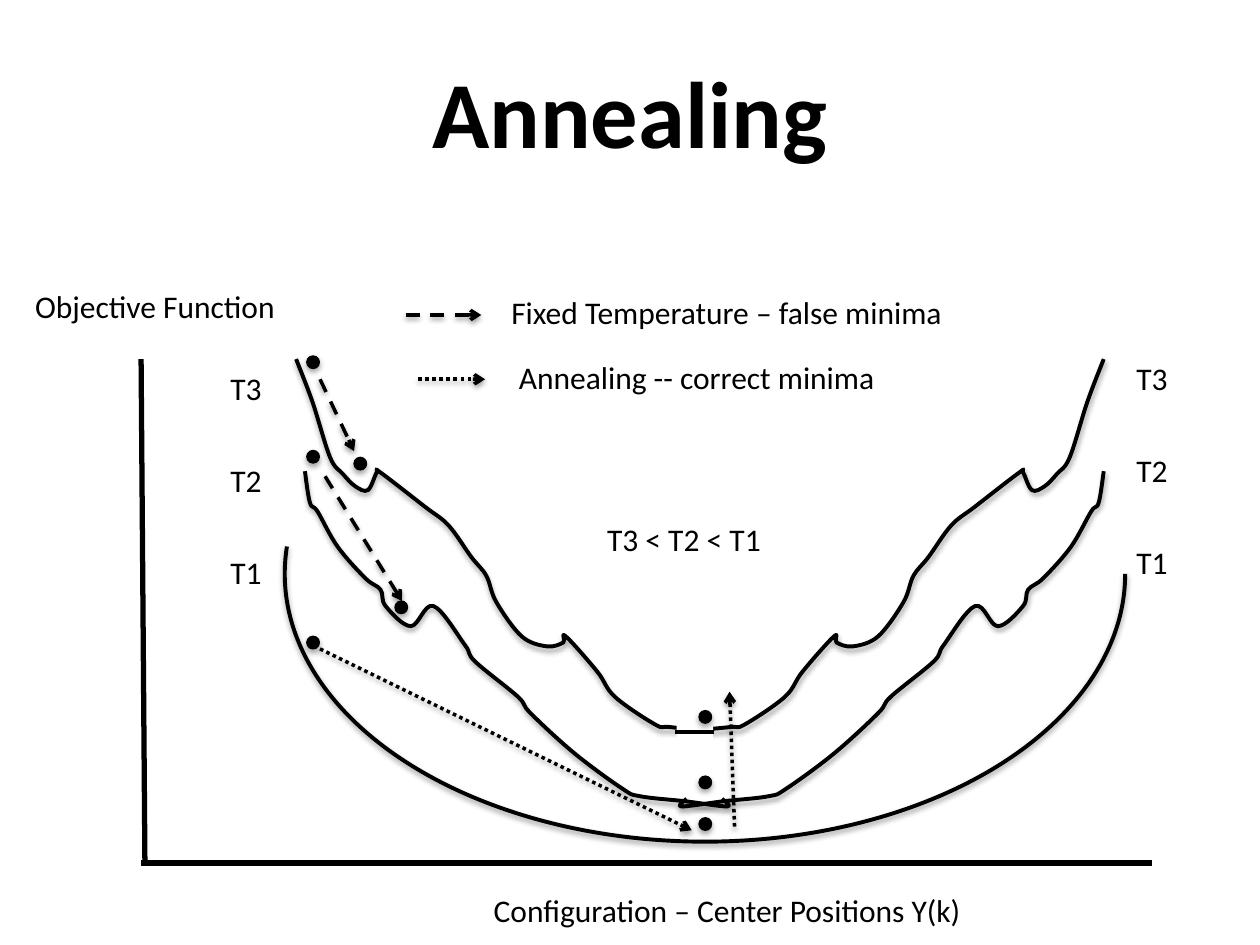
from lxml.etree import SubElement
from pptx import Presentation
from pptx.dml.color import RGBColor
from pptx.enum.dml import MSO_LINE
from pptx.enum.shapes import MSO_CONNECTOR, MSO_SHAPE
from pptx.enum.text import MSO_ANCHOR, MSO_AUTO_SIZE, PP_ALIGN
from pptx.oxml.ns import qn
from pptx.util import Inches, Pt

BLACK, WHITE = "000000", "FFFFFF"
COLUMNS = 100
SOFT_SHADOW = {"alpha": 35, "blur": 3.1, "distance": 1.8}
FIRM_SHADOW = {"alpha": 38, "blur": 3.1, "distance": 1.6}
ink = RGBColor.from_string

deck = Presentation()
deck.slide_width, deck.slide_height = Inches(10), Inches(7.5)
shapes = deck.slides.add_slide(deck.slide_layouts[6]).shapes
cell = deck.slide_width // COLUMNS


def grid(*cells):
    return [round(count * cell) for count in cells]


def outline(part, width, dash=None, arrow=False, shadow=None):
    part.line.color.rgb = ink(BLACK)
    part.line.width = Pt(width)
    if dash:
        part.line.dash_style = dash
    if arrow:
        SubElement(part.line._get_or_add_ln(), qn("a:tailEnd"), type="arrow")
    effects = SubElement(part._element.spPr, qn("a:effectLst"))
    if shadow:
        cast = SubElement(effects, qn("a:outerShdw"), blurRad=str(Pt(shadow["blur"])),
                          dist=str(Pt(shadow["distance"])), dir="5400000", rotWithShape="0")
        tint = SubElement(cast, qn("a:srgbClr"), val=BLACK)
        SubElement(tint, qn("a:alpha"), val=str(shadow["alpha"] * 1000))


bowl_centre, bowl_middle, bowl_half_width, bowl_depth = 55.95, 45.55, 33.35, 21.25
t1_bowl = shapes.add_shape(MSO_SHAPE.ARC, *grid(
    bowl_centre - bowl_depth, bowl_middle - bowl_half_width, 2 * bowl_depth, 2 * bowl_half_width))
t1_bowl.rotation = 90
t1_bowl.adjustments[0], t1_bowl.adjustments[1] = 162, 56.25
t1_bowl.fill.background()
outline(t1_bowl, 2.25, shadow=FIRM_SHADOW)

t2_descent = {
    "wall": [(24.2, 37.4), (24.6, 39.9), (25.2, 40.6), (26.8, 43.4), (29, 45.9)],
    "ledge": [(30.2, 46.8), (30.6, 48.1)],
    "false minimum": [(32.6, 49.7), (34.4, 48.1)],
    "slope": [(36.9, 51.2), (37.7, 52.5), (41.1, 55.3), (42.1, 56.6), (45.6, 59.8), (49.4, 62.6)],
    "floor": [(50.8, 63.2), (54.4, 63.6), (57.7, 64), (57.3, 63.4)],
}
t3_descent = {
    "wall": [(23.5, 28.5), (24.8, 31.9), (26.2, 36.3), (27.2, 37.6)],
    "upper false minimum": [(28.2, 38.6), (29.2, 38.9), (29.9, 37.5), (30.2, 37.5)],
    "upper slope": [(33.7, 40.2), (35.6, 41.7), (37.4, 44.2), (38.6, 45.7), (39.4, 47.8)],
    "lower false minimum": [(41.4, 50.5), (43.4, 51.3), (44.7, 51), (44.9, 50.5)],
    "lower slope": [(47.4, 53.3), (48.8, 55.3), (52, 57.5)],
    "floor": [(53.1, 57.7), (56.3, 58)],
}

for descent, symmetry_axis in ((t2_descent, 55.9), (t3_descent, 55.55)):
    left_half = [stop for stretch in descent.values() for stop in stretch]
    right_half = [(2 * symmetry_axis - x, y) for x, y in left_half]
    for half in (left_half, right_half):
        stops = [grid(*stop) for stop in half]
        builder = shapes.build_freeform(*stops[0])
        builder.add_line_segments(stops[1:], close=False)
        curve = builder.convert_to_shape()
        knots = [(int(p.get("x")), int(p.get("y"))) for p in curve._element.iter(qn("a:pt"))]
        padded = [knots[0], *knots, knots[-1]]
        segments = list(curve._element.iter(qn("a:lnTo")))
        for segment, before, start, end, after in zip(
                segments, padded, padded[1:], padded[2:], padded[3:]):
            leaving = [s + (e - b) / 6 for b, s, e in zip(before, start, end)]
            arriving = [e - (a - s) / 6 for s, e, a in zip(start, end, after)]
            segment.tag = qn("a:cubicBezTo")
            for x, y in (arriving, leaving):
                handle = SubElement(segment, qn("a:pt"), x=str(round(x)), y=str(round(y)))
                segment.insert(0, handle)
        curve.fill.background()
        outline(curve, 2.25, shadow=SOFT_SHADOW)

captions = [
    ("Annealing", 5, 2.5, 90),
    ("T3 < T2 < T1", 47.2, 40.8, 16.7),
    ("Objective Function", 1.8, 22.3, 21.3),
    ("Configuration – Center Positions Y(k)", 38.2, 70.2, 39.6),
    ("Fixed Temperature – false minima", 39.6, 22.8, 36.6),
    ("Annealing -- correct minima", 40.2, 27.9, 30.6),
]
level_gap = 7.3
for side_left, side_top in ((17.3, 28.8), (89.2, 28)):
    for row, level in enumerate(("T3", "T2", "T1")):
        captions.append((level, side_left, side_top + row * level_gap, 4.5))

for words, left, top, width in captions:
    is_title = words == "Annealing"
    height, size = (12.5, 54) if is_title else (4, 18)
    frame = shapes.add_textbox(*grid(left, top, width, height)).text_frame
    frame.word_wrap = is_title
    frame.auto_size = MSO_AUTO_SIZE.NONE if is_title else MSO_AUTO_SIZE.SHAPE_TO_FIT_TEXT
    line = frame.paragraphs[0]
    line.text = words
    line.font.name, line.font.size, line.font.bold = "Calibri", Pt(size), is_title
    line.font.color.rgb = ink(BLACK)
    if is_title:
        frame.vertical_anchor = MSO_ANCHOR.MIDDLE
        line.alignment = PP_ALIGN.CENTER

floor_gap = shapes.add_shape(MSO_SHAPE.RECTANGLE, *grid(53.7, 56.6, 2.9, 3.3))
floor_gap.shadow.inherit = False
floor_gap.fill.solid()
floor_gap.fill.fore_color.rgb = ink(WHITE)
floor_gap.line.fill.background()

start_x, minimum_x, ball = 24.85, 55.98, 1
ball_centres = {
    "T3 start": (start_x, 28.75), "T3 trapped": (28.6, 36.8), "T3 minimum": (minimum_x, 56.9),
    "T2 start": (start_x, 36.25), "T2 trapped": (31.85, 48.2), "T2 minimum": (minimum_x, 62.1),
    "T1 start": (start_x, 51), "T1 minimum": (minimum_x, 65.4),
}
for x, y in ball_centres.values():
    state = shapes.add_shape(MSO_SHAPE.OVAL, *grid(x - ball / 2, y - ball / 2, ball, ball))
    state.fill.solid()
    state.fill.fore_color.rgb = ink(BLACK)
    outline(state, 0.75, shadow=SOFT_SHADOW)

arrow_look = {"width": 2, "arrow": True, "shadow": FIRM_SHADOW}
fixed_temperature = {**arrow_look, "dash": MSO_LINE.DASH}
annealing = {**arrow_look, "dash": MSO_LINE.ROUND_DOT}
axis = {"width": 3}
strokes = {
    "T3 into false minimum": ((25.4, 30.1), (28.1, 35.8), fixed_temperature),
    "T2 into false minimum": ((25.8, 37.8), (31.9, 47.7), fixed_temperature),
    "fixed temperature key": ((32.2, 25), (38.2, 25), fixed_temperature),
    "T1 into true minimum": ((25.4, 51.5), (54.9, 65.9), annealing),
    "cooling from T1 to T3": ((58.3, 65.6), (57.9, 54.9), annealing),
    "annealing key": ((33.2, 30.1), (38.5, 30.1), annealing),
    "objective axis": ((11.2, 28.5), (11.5, 68.3), axis),
    "configuration axis": ((91.4, 68.5), (11.2, 68.5), axis),
    "T3 floor": ((53.6, 58.1), (56.7, 58.1), {"width": 2.25}),
}
for start, end, look in strokes.values():
    stroke = shapes.add_connector(MSO_CONNECTOR.STRAIGHT, *grid(*start, *end))
    outline(stroke, **look)

deck.save("out.pptx")
